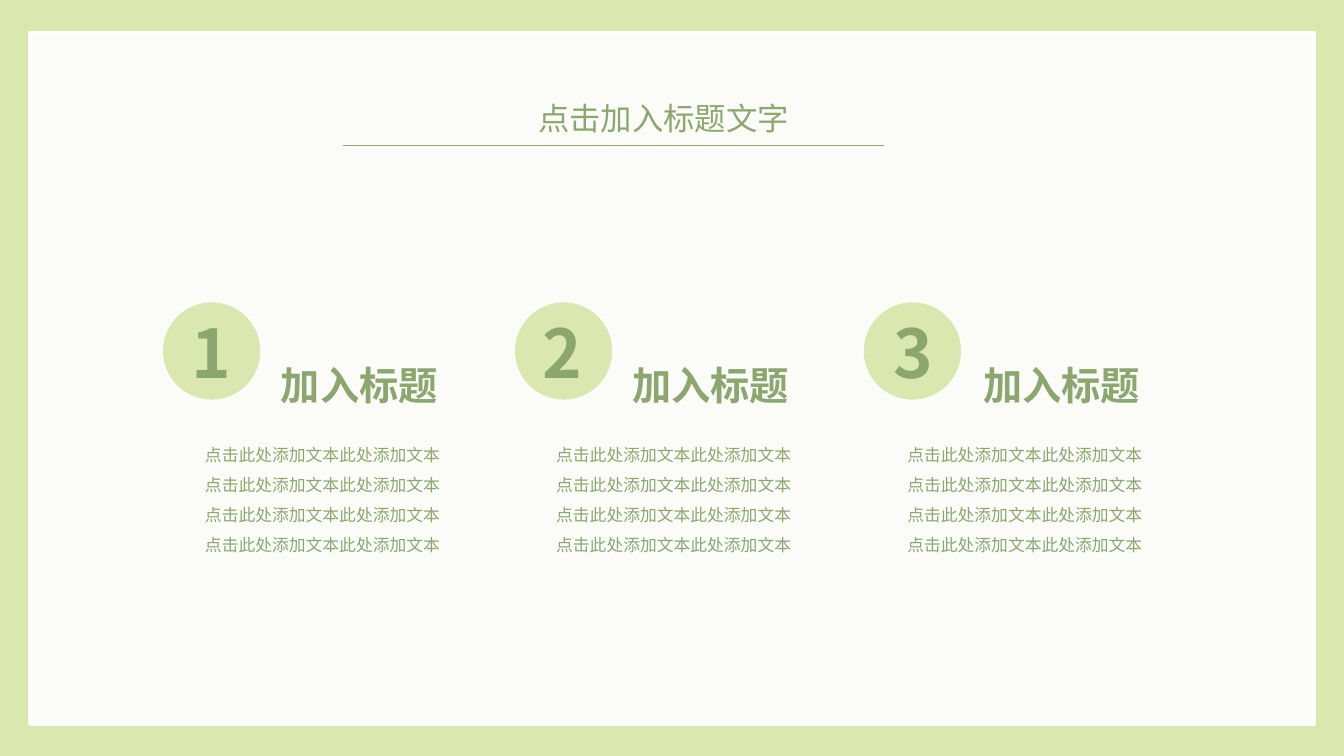
"""Build a slide with a title and three numbered text columns."""
from dataclasses import dataclass

from lxml import etree
from pptx import Presentation
from pptx import util as u
from pptx.dml.color import RGBColor
from pptx.enum import shapes, text
from pptx.oxml.ns import qn

COLOURS = {"lime": "DAE8AF", "sage": "8BA76F", "white": "FFFFFF"}
FONT = "Noto Sans CJK SC"
BODY = "\n".join(["点击此处添加文本此处添加文本"] * 4)
COLUMN_LEFT, COLUMN_PITCH = 2.34, 8.85


@dataclass
class Column:
    number: str
    heading: str
    body: str
    circle_left: float


COLUMNS = [
    Column("1", "加入标题", BODY, 4.11),
    Column("2", "加入标题", BODY, 12.98),
    Column("3", "加入标题", BODY, 21.77),
]


def colour(name: str) -> RGBColor:
    return RGBColor.from_string(COLOURS[name])


def place(box, left: float, top: float, width: float, height: float) -> None:
    box.left, box.top = u.Cm(left), u.Cm(top)
    box.width, box.height = u.Cm(width), u.Cm(height)


def write(box, content: str, *, size: float, bold: bool = False, small_caps: bool = False,
          align=text.PP_ALIGN.LEFT, spacing: float = 1.0) -> None:
    frame = box.text_frame
    frame.word_wrap = True
    frame.auto_size = text.MSO_AUTO_SIZE.SHAPE_TO_FIT_TEXT
    frame.vertical_anchor = text.MSO_ANCHOR.TOP
    frame.text = content
    for para in frame.paragraphs:
        para.alignment, para.line_spacing = align, spacing
        for span in para.runs:
            font = span.font
            font.name, font.size, font.bold = FONT, u.Pt(size), bold
            font.color.rgb = colour("sage")
            properties = span._r.get_or_add_rPr()
            etree.SubElement(properties, qn("a:ea"), typeface=FONT)
            if small_caps:
                properties.set("cap", "small")


def add_text(page, left: float, top: float, width: float, height: float,
             content: str, **style) -> None:
    box = page.shapes.add_textbox(u.Cm(left), u.Cm(top), u.Cm(width), u.Cm(height))
    write(box, content, **style)


def add_panel(page):
    panel = page.shapes.add_shape(shapes.MSO_SHAPE.RECTANGLE, 0, 0, 0, 0)
    place(panel, 0.76, 0.84, 32.36, 17.4)
    panel.shadow.inherit = False
    panel.fill.solid()
    panel.fill.fore_color.rgb = colour("white")
    white = panel.element.spPr.find(qn("a:solidFill"))[0]
    etree.SubElement(white, qn("a:alpha"), val="90000")
    panel.line.color.rgb = colour("white")
    panel.line.width = u.Pt(3)
    return panel


def add_title(page) -> None:
    title = page.shapes.title
    title.element.addprevious(add_panel(page).element)
    place(title, 13.36, 2.21, 9.42, 1.37)
    frame = title.text_frame
    frame.margin_left = frame.margin_right = u.Cm(0.2)
    frame.margin_top = frame.margin_bottom = u.Cm(0.1)
    write(title, "点击加入标题文字", size=28, small_caps=True)
    rule = page.shapes.add_connector(shapes.MSO_CONNECTOR.STRAIGHT, u.Cm(8.65), u.Cm(3.66),
                                     u.Cm(22.27), u.Cm(3.66))
    rule.line.color.rgb = colour("sage")
    rule.line.width = u.Pt(0.25)
    etree.SubElement(rule.element.spPr, qn("a:effectLst"))


def add_circle(page, left: float) -> None:
    circle = page.shapes.add_shape(shapes.MSO_SHAPE.OVAL, u.Cm(left), u.Cm(7.62),
                                   u.Cm(2.45), u.Cm(2.45))
    circle.shadow.inherit = False
    circle.fill.solid()
    circle.fill.fore_color.rgb = colour("lime")
    circle.line.fill.background()


def add_column(page, column: Column, left: float) -> None:
    add_circle(page, column.circle_left)
    add_text(page, left + 2.23, 7.72, 2.29, 2.31, column.number, size=48, bold=True)
    add_text(page, left + 4.49, 8.99, 6.25, 1.45, column.heading, size=28, bold=True)
    add_text(page, left, 10.82, 11.58, 3.33, column.body, size=12,
             align=text.PP_ALIGN.CENTER, spacing=1.5)


def main() -> None:
    deck = Presentation()
    deck.slide_width, deck.slide_height = u.Cm(33.87), u.Cm(19.05)
    page = deck.slides.add_slide(deck.slide_layouts.get_by_name("Title Only"))
    page.background.fill.solid()
    page.background.fill.fore_color.rgb = colour("lime")
    add_title(page)
    for index, column in enumerate(COLUMNS):
        add_column(page, column, COLUMN_LEFT + index * COLUMN_PITCH)
    deck.save("out.pptx")


if __name__ == "__main__":
    main()
